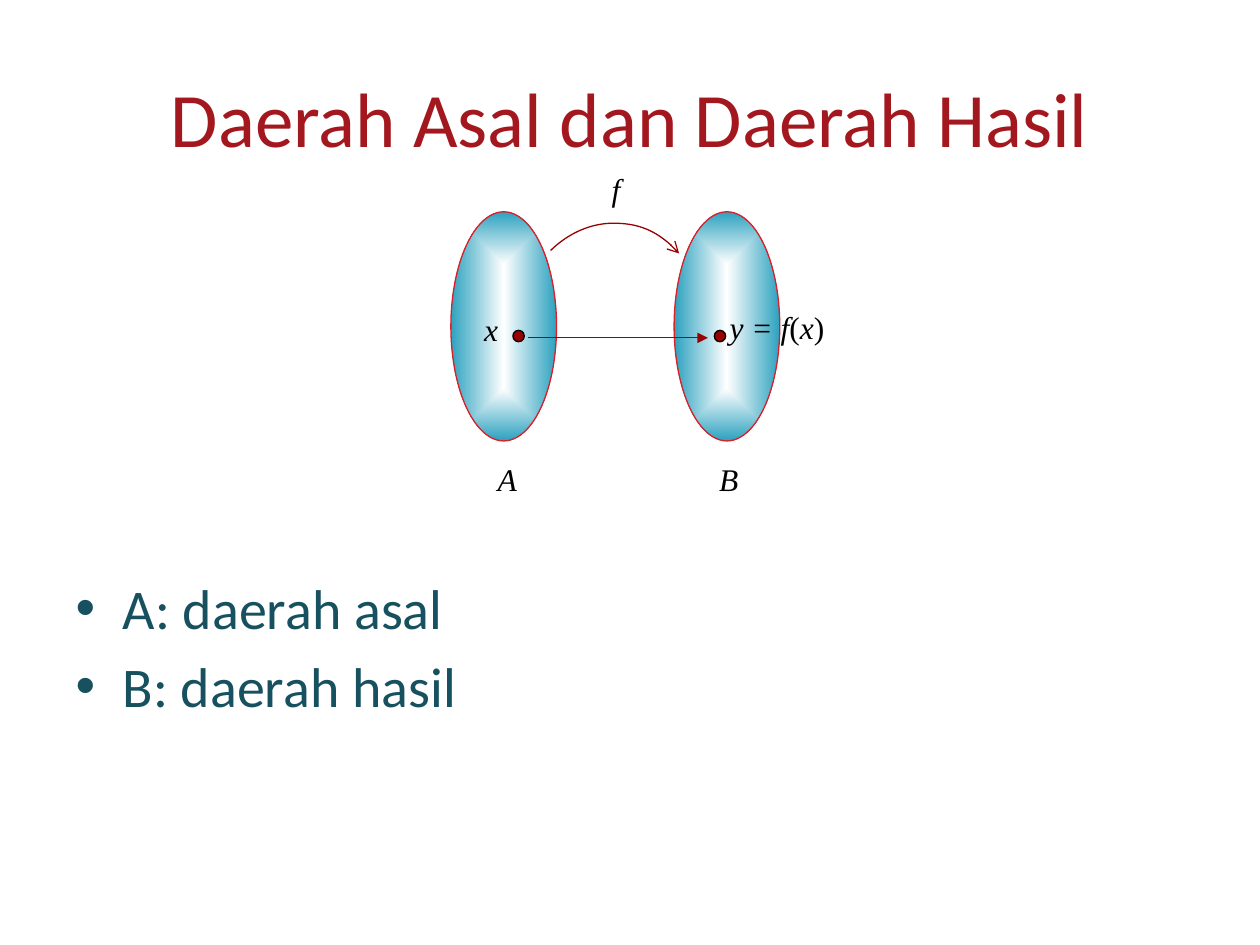
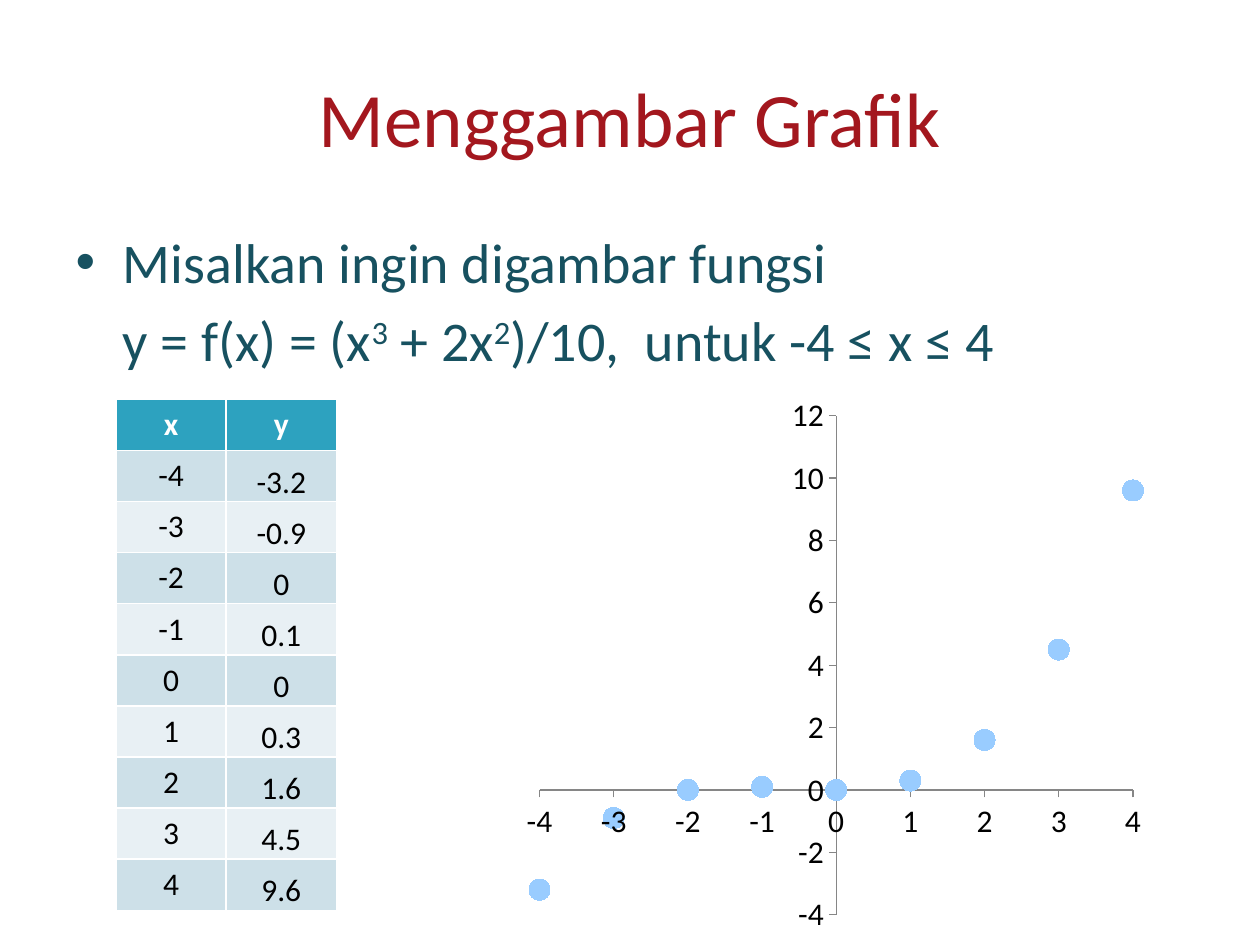
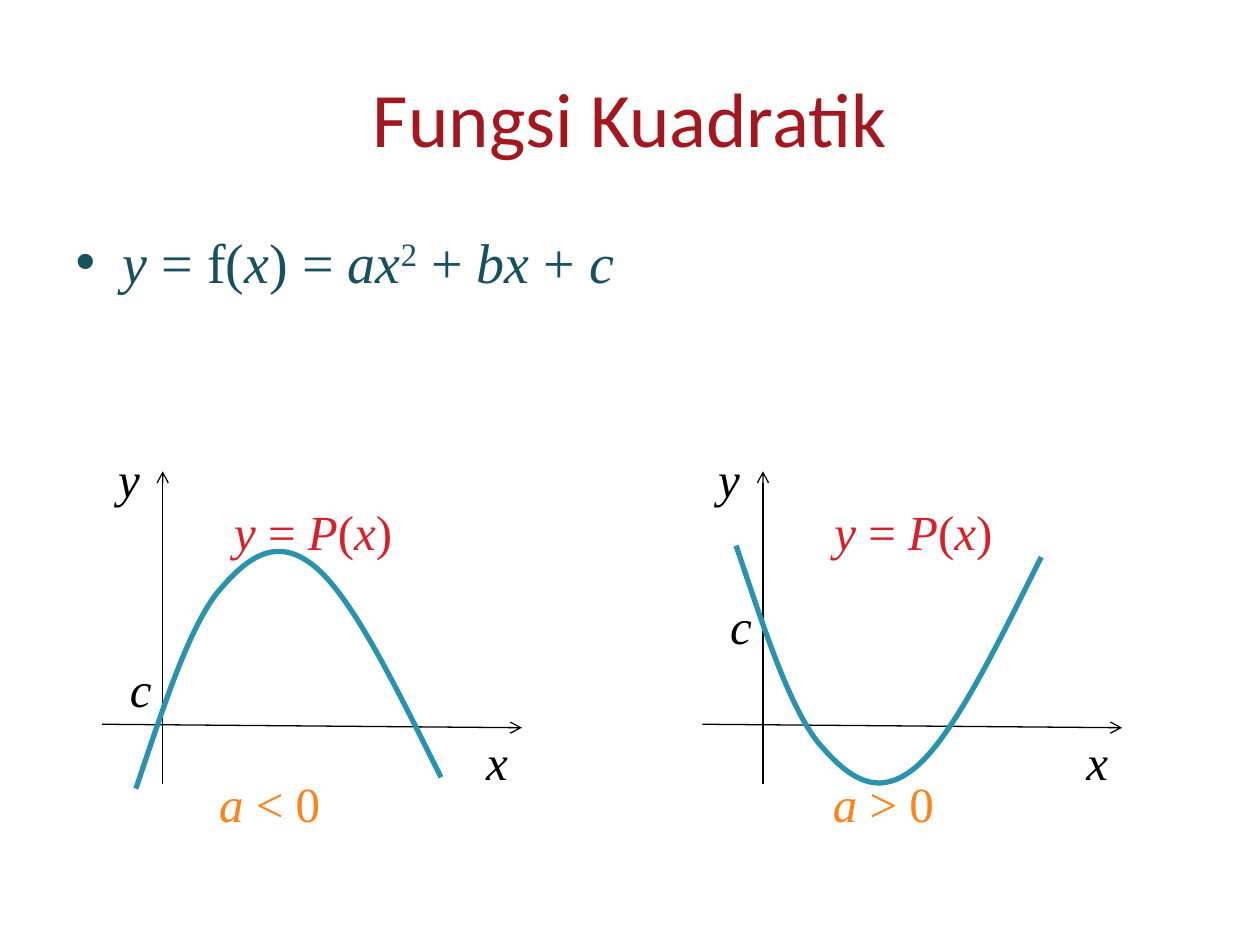
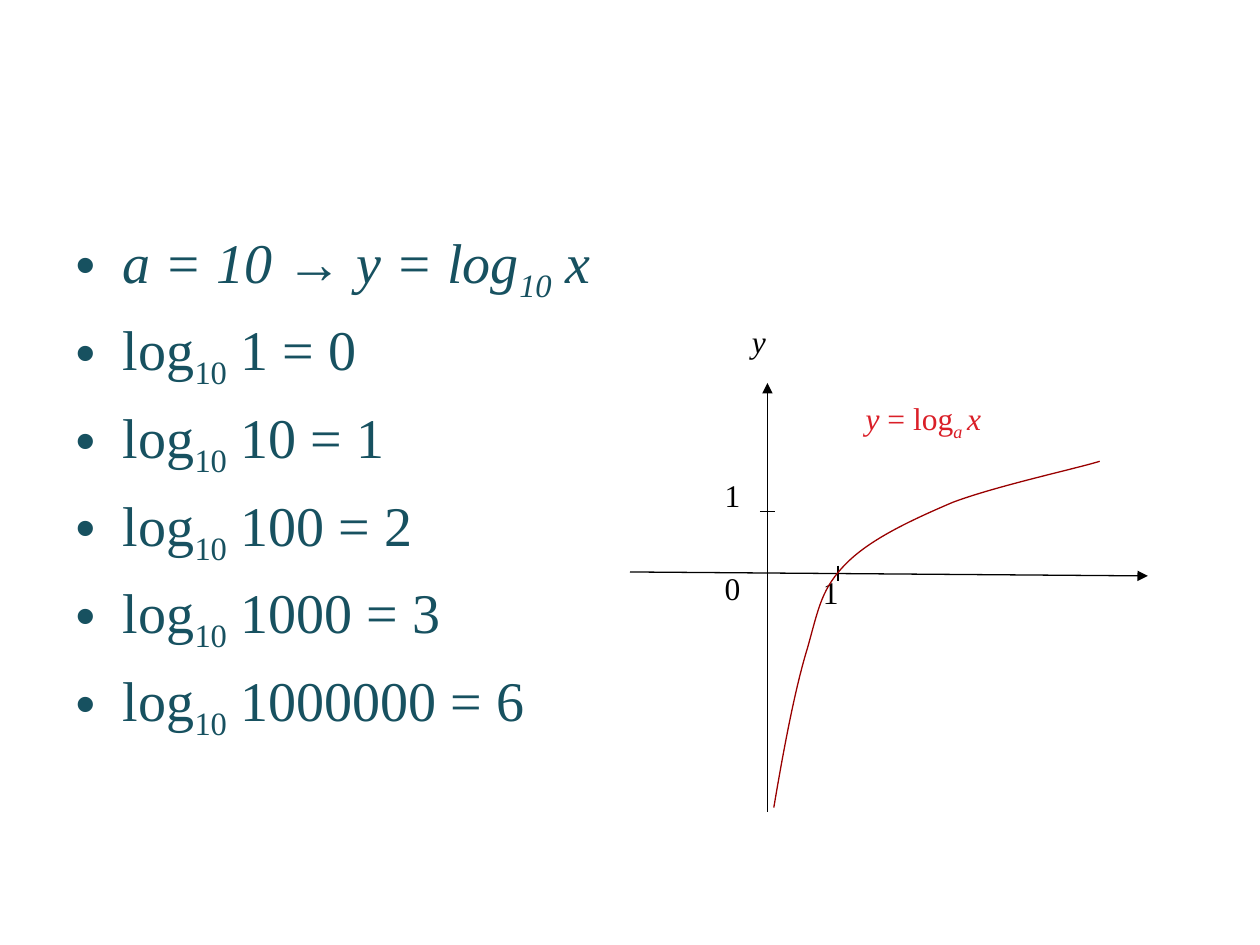
from dataclasses import dataclass
from typing import NamedTuple

from lxml import etree
from pptx import Presentation
from pptx.chart.data import XyChartData
from pptx.dml.color import RGBColor
from pptx.enum.chart import XL_CHART_TYPE, XL_MARKER_STYLE, XL_TICK_MARK
from pptx.enum.shapes import MSO_CONNECTOR, MSO_SHAPE
from pptx.enum.text import MSO_ANCHOR, PP_ALIGN
from pptx.oxml.ns import qn
from pptx.util import Cm, Pt

CENTER = PP_ALIGN.CENTER
MIDDLE, BOTTOM = MSO_ANCHOR.MIDDLE, MSO_ANCHOR.BOTTOM
OVAL = MSO_SHAPE.OVAL
STRAIGHT = MSO_CONNECTOR.STRAIGHT
SCATTER = XL_CHART_TYPE.XY_SCATTER
CIRCLE = XL_MARKER_STYLE.CIRCLE
TICK_OUT = XL_TICK_MARK.OUTSIDE


@dataclass(frozen=True)
class Theme:
    sans: str = "Calibri"
    serif: str = "Times New Roman"
    title: str = "A3171E"
    body: str = "175160"
    ink: str = "000000"
    white: str = "FFFFFF"
    teal: str = "2DA2BF"
    curve: str = "2993AD"
    red: str = "DA1F28"
    dark_red: str = "990000"
    orange: str = "FF8119"
    band_dark: str = "CDE0E8"
    band_light: str = "E8F0F4"
    marker: str = "99CCFF"
    axis: str = "868686"
    title_size: int = 44
    body_size: int = 32
    label_size: int = 28
    small_size: int = 18
    thin: float = 0.75


T = Theme()


class Box(NamedTuple):
    x: float
    y: float
    w: float
    h: float

    def emu(self) -> list:
        return [Cm(v) for v in self]


class Label(NamedTuple):
    text: str
    box: Box
    color: str = T.ink
    size: int = T.small_size


TITLE_BOX = Box(1.27, 0.76, 22.86, 3.18)
BODY_BOX = Box(1.27, 4.45, 22.86, 12.57)


def rgb(color: str) -> RGBColor:
    return RGBColor.from_string(color)


# Text: * toggles italic, ^ superscript and _ subscript
def write(p, markup: str, *, size: int, color: str, font: str = T.sans,
          bold: bool = False, align=None) -> None:
    if align is not None:
        p.alignment = align
    italic, base, text = False, 0, ""
    for ch in markup + "\0":
        if ch not in "*^_\0":
            text += ch
            continue
        if text:
            r = p.add_run()
            r.text, text = text, ""
            f = r.font
            f.name, f.size, f.bold, f.italic = font, Pt(size), bold, italic
            f.color.rgb = rgb(color)
            if base:
                r._r.get_or_add_rPr().set("baseline", str(base))
        if ch == "*":
            italic = not italic
        elif ch in "^_":
            base = 0 if base else {"^": 30000, "_": -25000}[ch]


def place(sp, box: Box) -> None:
    sp.left, sp.top, sp.width, sp.height = box.emu()


def new_slide(prs, title: str, lines: list[str], *, box: Box = BODY_BOX, font: str = T.sans):
    s = prs.slides.add_slide(prs.slide_layouts[1])
    head, body = s.placeholders
    if title:
        place(head, TITLE_BOX)
        head.text_frame.vertical_anchor = MIDDLE
        write(head.text_frame.paragraphs[0], title, size=T.title_size,
              color=T.title, align=CENTER)
    else:
        head.element.getparent().remove(head.element)
    place(body, box)
    tf = body.text_frame
    for i, line in enumerate(lines):
        p = tf.add_paragraph() if i else tf.paragraphs[0]
        write(p, line, size=T.body_size, color=T.body, font=font)
    return s


def add_label(s, label: Label) -> None:
    tf = s.shapes.add_textbox(*label.box.emu()).text_frame
    tf.word_wrap = True
    tf.margin_left = tf.margin_right = Cm(0.28)
    tf.margin_top = tf.margin_bottom = Cm(0.15)
    write(tf.paragraphs[0], label.text, size=label.size, color=label.color, font=T.serif)


# Lines and outlines
def stroke(sp, color: str, width: float, arrow: str = "") -> None:
    sp.line.color.rgb = rgb(color)
    sp.line.width = Pt(width)
    if arrow:
        ln = sp.line._get_or_add_ln()
        etree.SubElement(ln, qn("a:tailEnd")).set("type", arrow)


def add_line(s, x1: float, y1: float, x2: float, y2: float, *, color: str = T.ink,
             width: float = T.thin, arrow: str = "") -> None:
    c = s.shapes.add_connector(STRAIGHT, Cm(x1), Cm(y1), Cm(x2), Cm(y2))
    stroke(c, color, width, arrow)
    etree.SubElement(c._element.spPr, qn("a:effectLst"))


def add_curve(s, points: list[tuple], *, color: str, width: float = T.thin,
              arrow: str = "") -> None:
    """Draw Bezier pieces: a start, then two handles and an end for each piece."""
    start, *rest = [(Cm(x), Cm(y)) for x, y in points]
    fb = s.shapes.build_freeform(*start)
    fb.add_line_segments(rest, close=False)
    sp = fb.convert_to_shape()
    sp.shadow.inherit = False
    sp.fill.background()
    stroke(sp, color, width, arrow)
    steps = list(sp._element.iter(qn("a:lnTo")))
    for i in range(0, len(steps), 3):
        bezier = etree.SubElement(steps[i].getparent(), qn("a:cubicBezTo"))
        for step in steps[i:i + 3]:
            bezier.append(step[0])
            step.getparent().remove(step)


def add_oval(s, box: Box, fill: str, line: str):
    sp = s.shapes.add_shape(OVAL, *box.emu())
    sp.shadow.inherit = False
    sp.fill.solid()
    sp.fill.fore_color.rgb = rgb(fill)
    stroke(sp, line, T.thin)
    return sp


def glow(sp, inner: str, outer: str) -> None:
    sp.fill.gradient()
    for stop, color in zip(sp.fill.gradient_stops, (inner, outer)):
        stop.color.rgb = rgb(color)
    grad = sp._element.spPr.find(qn("a:gradFill"))
    grad.remove(grad.find(qn("a:lin")))
    path = etree.SubElement(grad, qn("a:path"))
    path.set("path", "shape")
    rect = etree.SubElement(path, qn("a:fillToRect"))
    for side in "ltrb":
        rect.set(side, "50000")


# Slide 1: mapping between two sets
def domain_slide(prs) -> None:
    s = new_slide(prs, "Daerah Asal dan Daerah Hasil",
                  ["A: daerah asal", "B: daerah hasil"], box=Box(1.27, 11.43, 22.86, 5.59))
    for x in (9.09, 13.59):
        glow(add_oval(s, Box(x, 4.27, 2.13, 4.62), T.teal, T.red), T.white, T.teal)
    add_line(s, 10.64, 6.81, 14.27, 6.81, color=T.dark_red, arrow="triangle")
    for label in (
        Label("*B*", Box(14.22, 9.12, 2.13, 1.14)),
        Label("*A*", Box(9.75, 9.12, 2.13, 1.14)),
        Label("*y = f*(*x*)", Box(14.43, 6.05, 3.2, 1.14)),
        Label("* x*", Box(9.32, 6.1, 2.13, 1.14)),
        Label(" *f*", Box(11.89, 3.28, 1.07, 1.22)),
    ):
        add_label(s, label)
    add_curve(s, [(11.1, 5.05), (11.46, 4.7), (11.91, 4.5), (12.37, 4.5),
                  (12.88, 4.5), (13.36, 4.72), (13.69, 5.11)],
              color=T.dark_red, arrow="arrow")
    for x in (10.34, 14.4):
        add_oval(s, Box(x, 6.66, 0.23, 0.23), T.dark_red, T.ink)


# Slide 2: table of values and its scatter chart
def add_values_table(s, values: list[tuple]) -> None:
    rows = [("x", "y")] + [(f"{x:g}", f"{y:g}") for x, y in values]
    row_h, col_w = 1.03, 2.22
    box = Box(2.34, 8.05, 2 * col_w, len(rows) * row_h)
    table = s.shapes.add_table(len(rows), 2, *box.emu()).table
    for col in table.columns:
        col.width = Cm(col_w)
    for i, row in enumerate(rows):
        table.rows[i].height = Cm(row_h)
        band = T.teal if i == 0 else T.band_dark if i % 2 else T.band_light
        for j, text in enumerate(row):
            cell = table.cell(i, j)
            cell.fill.solid()
            cell.fill.fore_color.rgb = rgb(band)
            if i and j:
                cell.vertical_anchor = BOTTOM
                cell.margin_left = cell.margin_right = cell.margin_top = Cm(0.03)
                cell.margin_bottom = Cm(0)
            write(cell.text_frame.paragraphs[0], text, size=T.small_size,
                  color=T.ink if i else T.white, bold=i == 0, align=CENTER)


def add_scatter(s, values: list[tuple]) -> None:
    data = XyChartData()
    points = data.add_series("Series 1")
    for x, y in values:
        points.add_data_point(x, y)
    box = Box(10.36, 7.77, 12.9, 11.28)
    chart = s.shapes.add_chart(SCATTER, *box.emu(), data).chart
    chart.has_legend = chart.has_title = False
    chart.font.name, chart.font.size = T.sans, Pt(T.small_size)
    chart.font.color.rgb = rgb(T.ink)
    chart.plots[0].vary_by_categories = False
    for axis, top, unit in ((chart.category_axis, 4, 1), (chart.value_axis, 12, 2)):
        axis.minimum_scale, axis.maximum_scale, axis.major_unit = -4, top, unit
        axis.has_major_gridlines = False
        axis.major_tick_mark = TICK_OUT
        axis.tick_labels.number_format = "General"
        axis.tick_labels.number_format_is_linked = False
        axis.format.line.color.rgb = rgb(T.axis)
    series = chart.plots[0].series[0]
    series.smooth = False
    series.format.line.fill.background()
    marker = series.marker
    marker.style, marker.size = CIRCLE, 12
    marker.format.fill.solid()
    marker.format.fill.fore_color.rgb = rgb(T.marker)
    marker.format.line.fill.background()


def graph_slide(prs) -> None:
    s = new_slide(prs, "Menggambar Grafik",
                  ["Misalkan ingin digambar fungsi",
                   "y = f(x) = (x^3^ + 2x^2^)/10,  untuk -4 ≤ x ≤ 4"],
                  box=Box(1.27, 4.45, 22.86, 3.38))
    # The formula continues the bullet above at the same indent
    pPr = s.placeholders[1].text_frame.paragraphs[1]._p.get_or_add_pPr()
    pPr.set("indent", "0")
    etree.SubElement(pPr, qn("a:buNone"))
    values = [(x, (x ** 3 + 2 * x ** 2) / 10) for x in range(-4, 5)]
    add_values_table(s, values)
    add_scatter(s, values)


# Slide 3: two parabolas, the second mirrored upside down
PARABOLA = [(2.74, 15.9), (3.28, 14.3), (3.78, 12.73), (4.37, 11.96), (4.98, 11.23),
            (5.56, 10.8), (6.32, 11.4), (7.09, 12.01), (7.98, 13.84), (8.89, 15.67)]
MIRROR_SUM = 26.9


def add_parabola(s, dx: float, c_y: float, condition: Label, points: list[tuple]) -> None:
    size = T.label_size
    add_line(s, 3.28 + dx, 15.8, 3.28 + dx, 9.5, arrow="arrow")
    add_line(s, 2.06 + dx, 14.6, 10.52 + dx, 14.67, arrow="arrow")
    for label in (
        Label("*x*", Box(9.52 + dx, 14.6, 2.92, 1.47), size=size),
        Label("*y*", Box(2.1 + dx, 8.89, 4.83, 1.47), size=size),
        Label("*c*", Box(2.34 + dx, c_y, 4.83, 1.47), size=size),
        Label("*y* = *P*(*x*)", Box(4.44 + dx, 9.96, 7.87, 1.47), T.red, size),
        condition,
    ):
        add_label(s, label)
    add_curve(s, [(x + dx, y) for x, y in points], color=T.curve, width=3)


def quadratic_slide(prs) -> None:
    s = new_slide(prs, "Fungsi Kuadratik", ["*y *= f(*x*) = *ax*^2^ + *bx* + *c*"],
                  font=T.serif)
    add_parabola(s, 0, 13.13, Label("*a* < 0", Box(4.14, 15.44, 10.87, 1.47),
                                    T.orange, T.label_size), PARABOLA)
    add_parabola(s, 12.1, 11.86, Label("*a *> 0", Box(16.51, 15.44, 10.87, 1.47),
                                       T.orange, T.label_size),
                 [(x, MIRROR_SUM - y) for x, y in PARABOLA])


# Slide 4: logarithms and their curve
def logarithm_slide(prs) -> None:
    facts = [(1, 0), (10, 1), (100, 2), (1000, 3), (1000000, 6)]
    s = new_slide(prs, "", ["*a = 10 → y = log_10_ x*"]
                  + [f"log_10_ {x} = {y}" for x, y in facts], font=T.serif)
    add_line(s, 15.47, 16.36, 15.47, 7.72, arrow="triangle")
    add_line(s, 12.7, 11.53, 23.14, 11.61, arrow="triangle")
    add_line(s, 16.89, 11.4, 16.89, 11.71, width=1)
    add_line(s, 15.32, 10.31, 15.62, 10.31, width=1)
    for label in (
        Label("*y*", Box(14.88, 6.35, 2.84, 1.37)),
        Label("0", Box(14.33, 11.33, 3.12, 1.37)),
        Label("1", Box(16.31, 11.4, 3.12, 1.37)),
        Label("1", Box(14.33, 9.45, 3.12, 1.37)),
        Label("*y *= log_*a *_*x*", Box(17.17, 7.9, 7.16, 1.07), T.red),
    ):
        add_label(s, label)
    add_curve(s, [(15.6, 16.28), (15.8, 15.09), (16.03, 13.87), (16.28, 13.06),
                  (16.51, 12.24), (16.56, 11.86), (17.07, 11.35), (17.55, 10.87),
                  (18.36, 10.49), (19.2, 10.13), (20.07, 9.8), (21.69, 9.45),
                  (22.17, 9.3)], color=T.dark_red)


def main() -> None:
    prs = Presentation()
    prs.slide_width, prs.slide_height = Cm(25.4), Cm(19.05)
    for build in (domain_slide, graph_slide, quadratic_slide, logarithm_slide):
        build(prs)
    prs.save("out.pptx")


if __name__ == "__main__":
    main()
